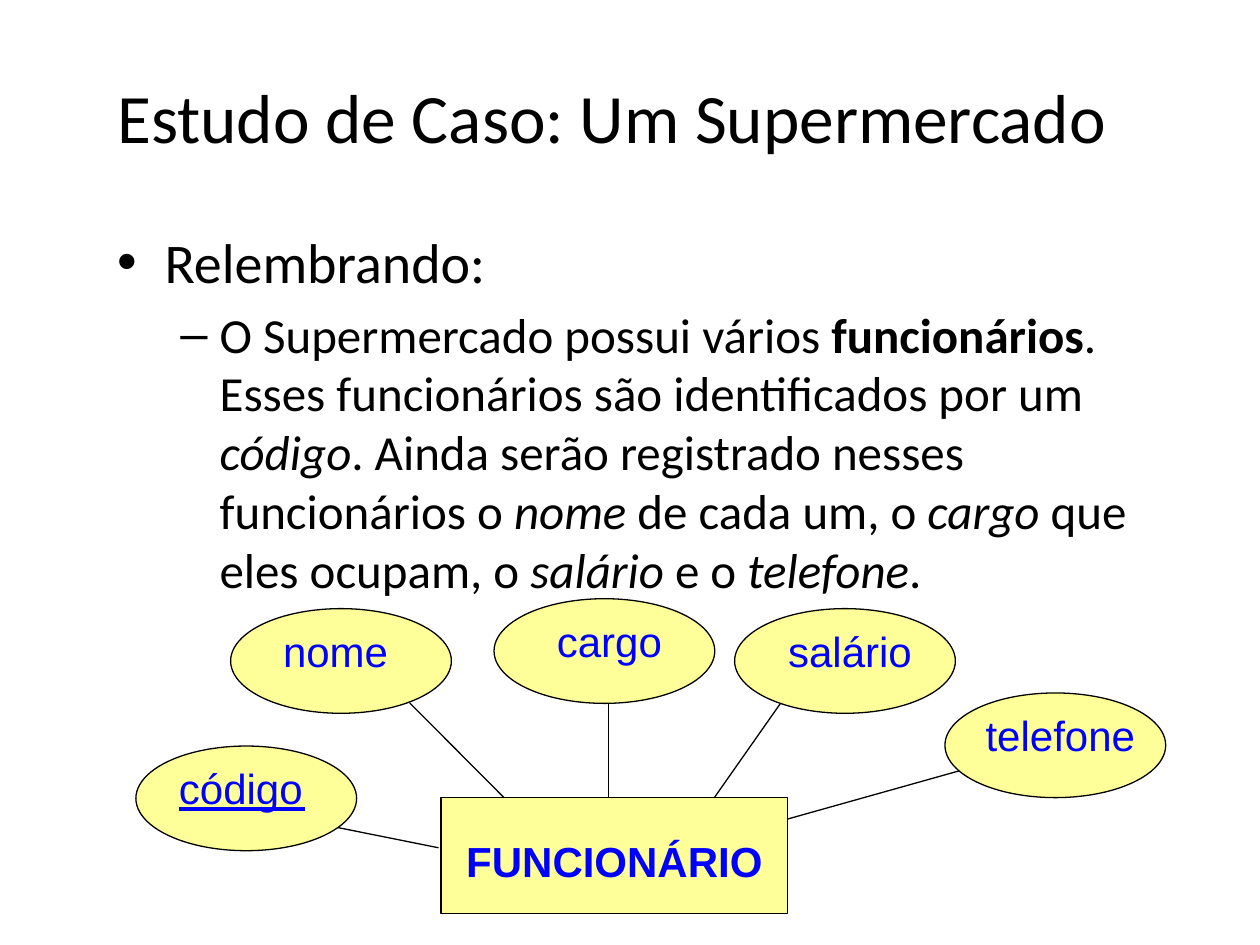
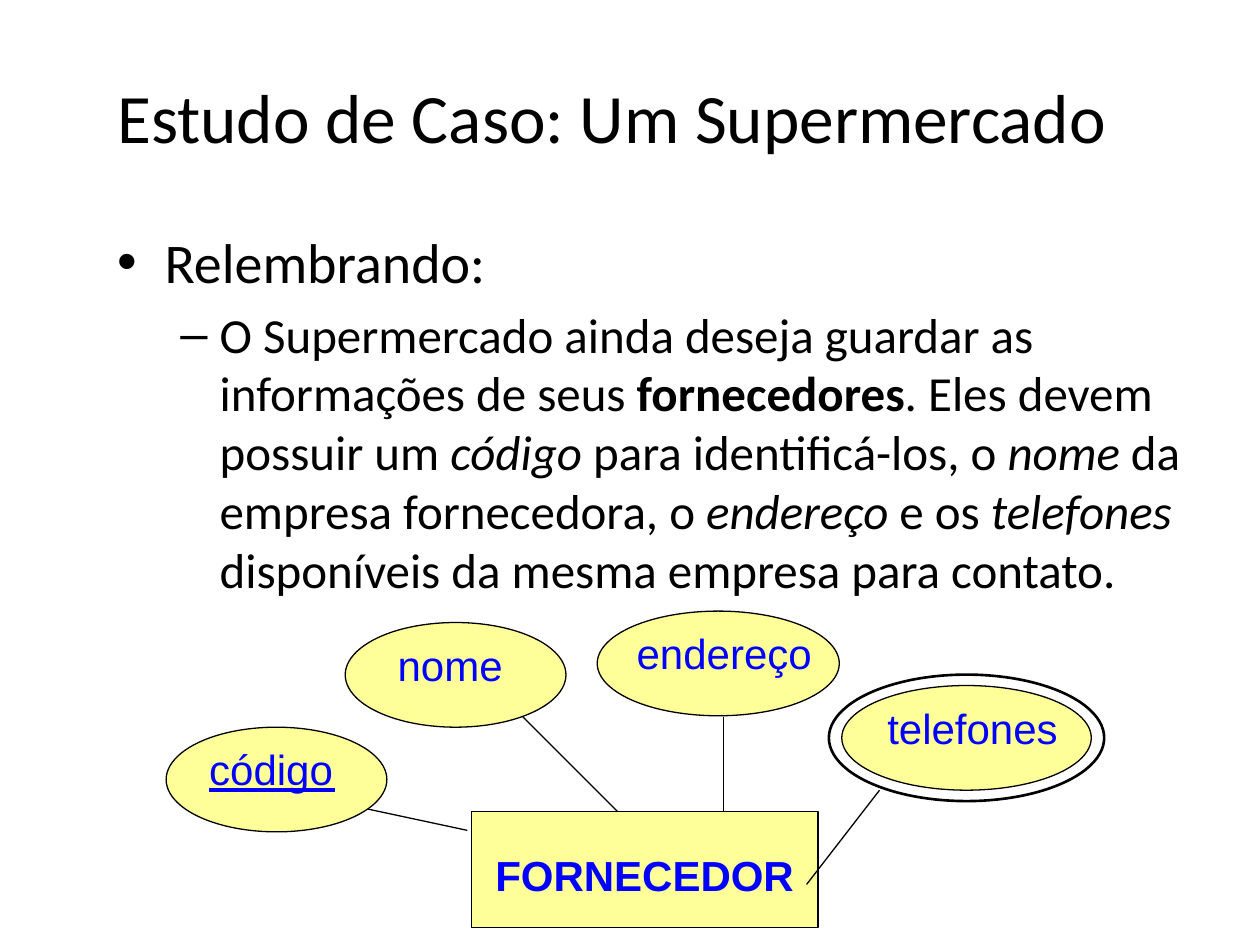
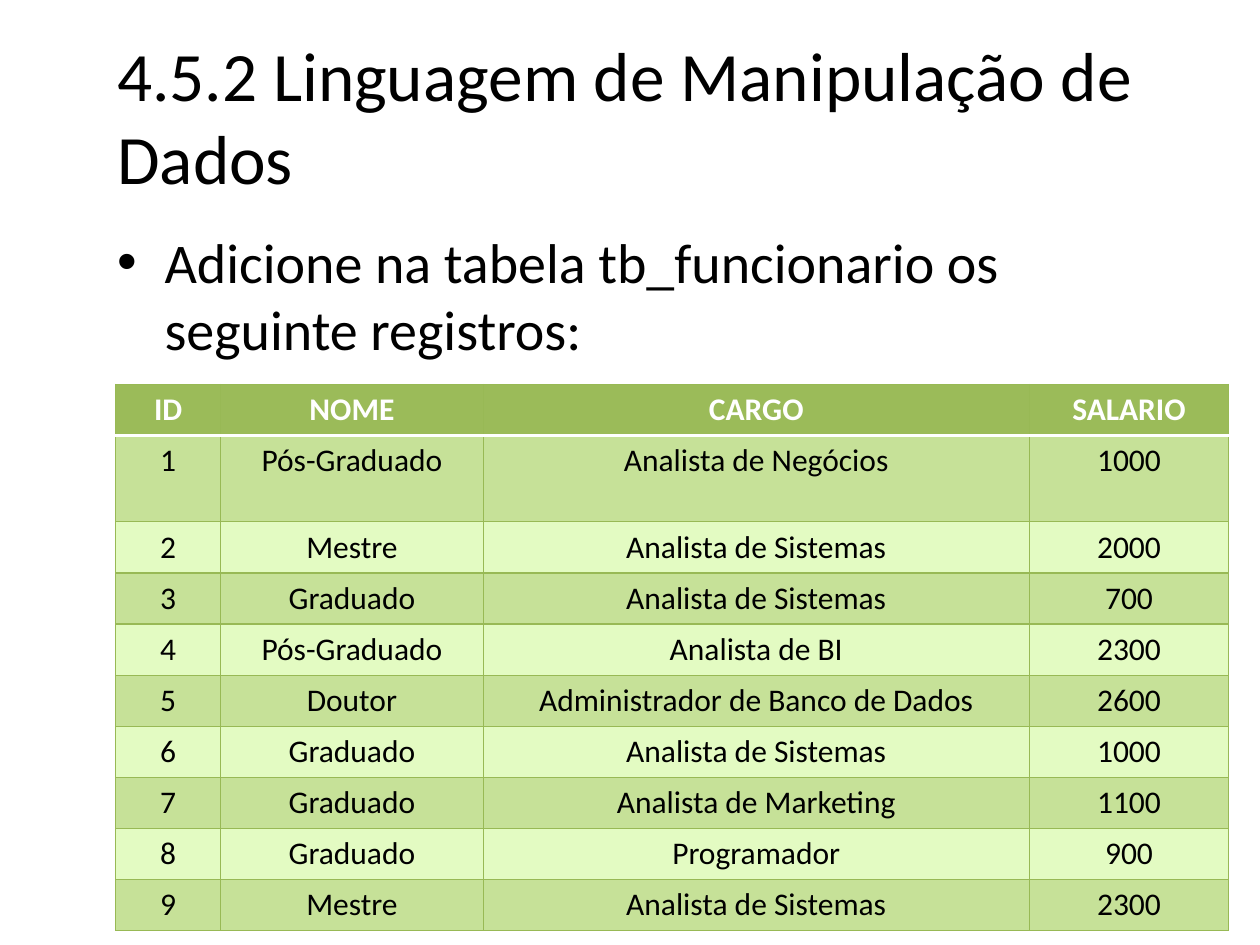
from dataclasses import dataclass

from lxml import etree
from pptx import Presentation
from pptx.dml.color import RGBColor
from pptx.enum.shapes import MSO_CONNECTOR, MSO_SHAPE
from pptx.enum.text import MSO_ANCHOR, MSO_AUTO_SIZE, PP_ALIGN
from pptx.oxml.ns import qn
from pptx.util import Cm, Pt

STRAIGHT = MSO_CONNECTOR.STRAIGHT
OVAL, RECTANGLE = MSO_SHAPE.OVAL, MSO_SHAPE.RECTANGLE
MIDDLE, TOP = MSO_ANCHOR.MIDDLE, MSO_ANCHOR.TOP
NO_FIT = MSO_AUTO_SIZE.NONE
LEFT, CENTER = PP_ALIGN.LEFT, PP_ALIGN.CENTER


@dataclass(frozen=True)
class Theme:
    """Colours, fonts and sizes shared by the deck."""
    ink: str = "000000"
    white: str = "FFFFFF"
    node: str = "FFFF99"
    label: str = "0000FF"
    header: str = "9BBB59"
    border: str = "98B955"
    bands: tuple = ("C6E198", "E3FBC2")
    text_font: str = "Calibri"
    diagram_font: str = "Arial"
    title_size: float = 39.6
    level_sizes: tuple = (32, 28)
    label_size: float = 24
    cell_size: float = 18
    thin: float = 0.75
    ring: float = 1.5
    header_rule: float = 2
    underline: float = 2.25


@dataclass(frozen=True)
class Attribute:
    """An attribute of an entity, with its place and link in centimetres."""
    name: str
    left: float
    top: float
    link: tuple
    label_shift: float = 0.42
    width: float = 4.45
    key: bool = False
    multivalued: bool = False


THEME = Theme()
NODE_HEIGHT = 2.11
CASE_TITLE = "Estudo de Caso: Um Supermercado"
RECALL = [("Relembrando:", "")]

EMPLOYEE_TEXT = [
    ("O Supermercado possui vários ", ""), ("funcionários", "bold"),
    (". Esses funcionários são identificados por um ", ""), ("código", "italic"),
    (". Ainda serão registrado nesses funcionários o ", ""), ("nome", "italic"),
    (" de cada um, o ", ""), ("cargo", "italic"),
    (" que eles ocupam, o ", ""), ("salário", "italic"),
    (" e o ", ""), ("telefone", "italic"), (".", ""),
]
EMPLOYEE_ATTRIBUTES = [
    Attribute("código", 2.74, 15.04, (6.2, 16.56, 8.84, 17.09), 0.21, key=True),
    Attribute("cargo", 9.96, 12.07, (12.27, 16.08, 12.27, 14.17)),
    Attribute("salário", 14.81, 12.27, (14.4, 16.08, 15.88, 13.97)),
    Attribute("telefone", 19.05, 13.97, (15.88, 16.51, 19.69, 15.44)),
    Attribute("nome", 4.65, 12.27, (8.26, 14.17, 10.16, 16.08), 0.21),
]

SUPPLIER_TEXT = [
    ("O Supermercado ainda deseja guardar as informações de seus ", ""),
    ("fornecedores", "bold"), (". Eles devem possuir um ", ""),
    ("código", "italic"), (" para identificá-los, o ", ""), ("nome", "italic"),
    (" da empresa fornecedora, o ", ""), ("endereço", "italic"),
    (" e os ", ""), ("telefones", "italic"),
    (" disponíveis da mesma empresa para contato.", ""),
]
SUPPLIER_ATTRIBUTES = [
    Attribute("telefones", 16.97, 13.82, (16.26, 17.83, 17.73, 15.93), 0.44, 5.03,
              multivalued=True),
    Attribute("código", 3.35, 14.66, (6.81, 16.18, 9.42, 16.74), 0.21, key=True),
    Attribute("endereço", 12.04, 12.32, (14.58, 16.36, 14.58, 14.45), 0.44, 4.88),
    Attribute("nome", 6.96, 12.55, (10.54, 14.45, 12.45, 16.36), 0.21),
]

RECORDS_TEXT = [("Adicione na tabela tb_funcionario os seguinte registros:", "")]
RECORDS = [
    ("ID", "NOME", "CARGO", "SALARIO"),
    ("1", "Pós-Graduado", "Analista de Negócios", "1000"),
    ("2", "Mestre", "Analista de Sistemas", "2000"),
    ("3", "Graduado", "Analista de Sistemas", "700"),
    ("4", "Pós-Graduado", "Analista de BI", "2300"),
    ("5", "Doutor", "Administrador de Banco de Dados", "2600"),
    ("6", "Graduado", "Analista de Sistemas", "1000"),
    ("7", "Graduado", "Analista de Marketing", "1100"),
    ("8", "Graduado", "Programador", "900"),
    ("9", "Mestre", "Analista de Sistemas", "2300"),
]
COLUMN_WIDTHS = (2.12, 5.29, 11.01, 4.02)


def color(value):
    """Return the colour for a hexadecimal value."""
    return RGBColor.from_string(value)


def set_font(font, name, size, ink, bold=False):
    """Format a paragraph font."""
    font.name, font.size, font.bold = name, Pt(size), bold
    font.color.rgb = color(ink)


def place(shape, left, top, width, height):
    """Move and size a shape in centimetres."""
    shape.left, shape.top = Cm(left), Cm(top)
    shape.width, shape.height = Cm(width), Cm(height)


def add_page(deck, title, paragraphs):
    """Add a slide with a title and a list of levelled paragraphs."""
    page = deck.slides.add_slide(deck.slide_layouts[1])
    heading, body = page.shapes.title, page.placeholders[1]
    place(heading, 2.11, 0.74, 22.43, 3.18)
    place(body, 2.11, 4.45, 22.43, 11.94)
    for box, anchor in ((heading, MIDDLE), (body, TOP)):
        box.text_frame.auto_size = NO_FIT
        box.text_frame.vertical_anchor = anchor
    heading.text_frame.text = title
    para = heading.text_frame.paragraphs[0]
    para.alignment = LEFT
    set_font(para.font, THEME.text_font, THEME.title_size, THEME.ink)
    for level, spans in enumerate(paragraphs):
        add_list_item(body.text_frame, level, spans)
    return page


def add_list_item(frame, level, spans):
    """Write one list paragraph from spans of text and style."""
    para = frame.add_paragraph() if level else frame.paragraphs[0]
    size = THEME.level_sizes[level]
    para.level = level
    para.space_before = Pt(size * 0.2 if level else 0)
    set_font(para.font, THEME.text_font, size, THEME.ink)
    for text, style in spans:
        span = para.add_run()
        span.text = text
        if style:
            setattr(span.font, style, True)


def add_node(page, kind, left, top, width, height, fill=THEME.node, weight=THEME.thin):
    """Add an outlined shape, hollow when it has no fill."""
    node = page.shapes.add_shape(kind, Cm(left), Cm(top), Cm(width), Cm(height))
    node.shadow.inherit = False
    if fill:
        node.fill.solid()
        node.fill.fore_color.rgb = color(fill)
    else:
        node.fill.background()
    node.line.color.rgb = color(THEME.ink)
    node.line.width = Pt(weight)


def add_label(page, text, left, top, width, bold=False):
    """Add a centred diagram label."""
    box = page.shapes.add_textbox(Cm(left), Cm(top), Cm(width), Cm(1.27))
    box.text_frame.word_wrap = True
    box.text_frame.text = text
    para = box.text_frame.paragraphs[0]
    para.alignment = CENTER
    set_font(para.font, THEME.diagram_font, THEME.label_size, THEME.label, bold)


def add_line(page, ends, ink=THEME.ink, weight=THEME.thin):
    """Add a straight line between two points."""
    line = page.shapes.add_connector(STRAIGHT, *[Cm(end) for end in ends])
    line.line.color.rgb = color(ink)
    line.line.width = Pt(weight)
    etree.SubElement(line.element.spPr, qn("a:effectLst"))


def add_entity(page, name, left, top):
    """Add an entity rectangle with its name."""
    add_node(page, RECTANGLE, left, top, 6.99, 2.34)
    add_label(page, name, left, top + 0.64, 6.99, bold=True)


def add_attribute(page, item):
    """Add an attribute ellipse with its link, label and marks."""
    add_line(page, item.link)
    add_node(page, OVAL, item.left, item.top, item.width, NODE_HEIGHT)
    add_label(page, item.name, item.left + item.label_shift, item.top + 0.21,
              item.width - 0.64)
    if item.key:
        start, height = item.left + 0.86, item.top + 1.27
        add_line(page, (start, height, start + 2.54, height),
                 THEME.label, THEME.underline)
    if item.multivalued:
        add_node(page, OVAL, item.left - 0.26, item.top - 0.22, item.width + 0.52,
                 NODE_HEIGHT + 0.44, fill=None, weight=THEME.ring)


def add_entity_page(deck, spans, entity, attributes):
    """Add a case study slide with its entity diagram."""
    page = add_page(deck, CASE_TITLE, [RECALL, spans])
    add_entity(page, *entity)
    for item in attributes:
        add_attribute(page, item)


def add_border(cell, side, ink, weight):
    """Draw one border of a cell."""
    properties = cell._tc.get_or_add_tcPr()
    border = etree.SubElement(properties, qn(f"a:ln{side}"), w=str(Pt(weight)))
    fill = etree.SubElement(border, qn("a:solidFill"))
    etree.SubElement(fill, qn("a:srgbClr"), val=ink)


def format_cell(cell, text, row):
    """Write and format a cell according to its row."""
    is_header = row == 0
    for side in "LRTB":
        if (row, side) in ((0, "B"), (1, "T")):
            add_border(cell, side, THEME.white, THEME.header_rule)
        else:
            add_border(cell, side, THEME.border, THEME.thin)
    cell.fill.solid()
    cell.fill.fore_color.rgb = color(
        THEME.header if is_header else THEME.bands[(row - 1) % 2])
    cell.text = text
    para = cell.text_frame.paragraphs[0]
    para.alignment = CENTER
    set_font(para.font, THEME.text_font, THEME.cell_size,
             THEME.white if is_header else THEME.ink, is_header)


def add_records(page):
    """Add the table of employee records."""
    heights = [1.74 if row == 1 else 1.03 for row in range(len(RECORDS))]
    table = page.shapes.add_table(
        len(RECORDS), len(COLUMN_WIDTHS), Cm(2.33), Cm(7.75),
        Cm(sum(COLUMN_WIDTHS)), Cm(sum(heights))).table
    table.horz_banding = False
    for column, width in zip(table.columns, COLUMN_WIDTHS):
        column.width = Cm(width)
    for row, record in enumerate(RECORDS):
        table.rows[row].height = Cm(heights[row])
        for column, text in enumerate(record):
            format_cell(table.cell(row, column), text, row)


def main():
    """Build and save the deck."""
    deck = Presentation()
    deck.slide_width, deck.slide_height = Cm(25.4), Cm(19.05)
    add_entity_page(deck, EMPLOYEE_TEXT, ("FUNCIONÁRIO", 8.89, 16.08), EMPLOYEE_ATTRIBUTES)
    add_entity_page(deck, SUPPLIER_TEXT, ("FORNECEDOR", 9.5, 16.36), SUPPLIER_ATTRIBUTES)
    records_page = add_page(deck, "4.5.2 Linguagem de Manipulação de Dados", [RECORDS_TEXT])
    add_records(records_page)
    deck.save("out.pptx")


if __name__ == "__main__":
    main()
